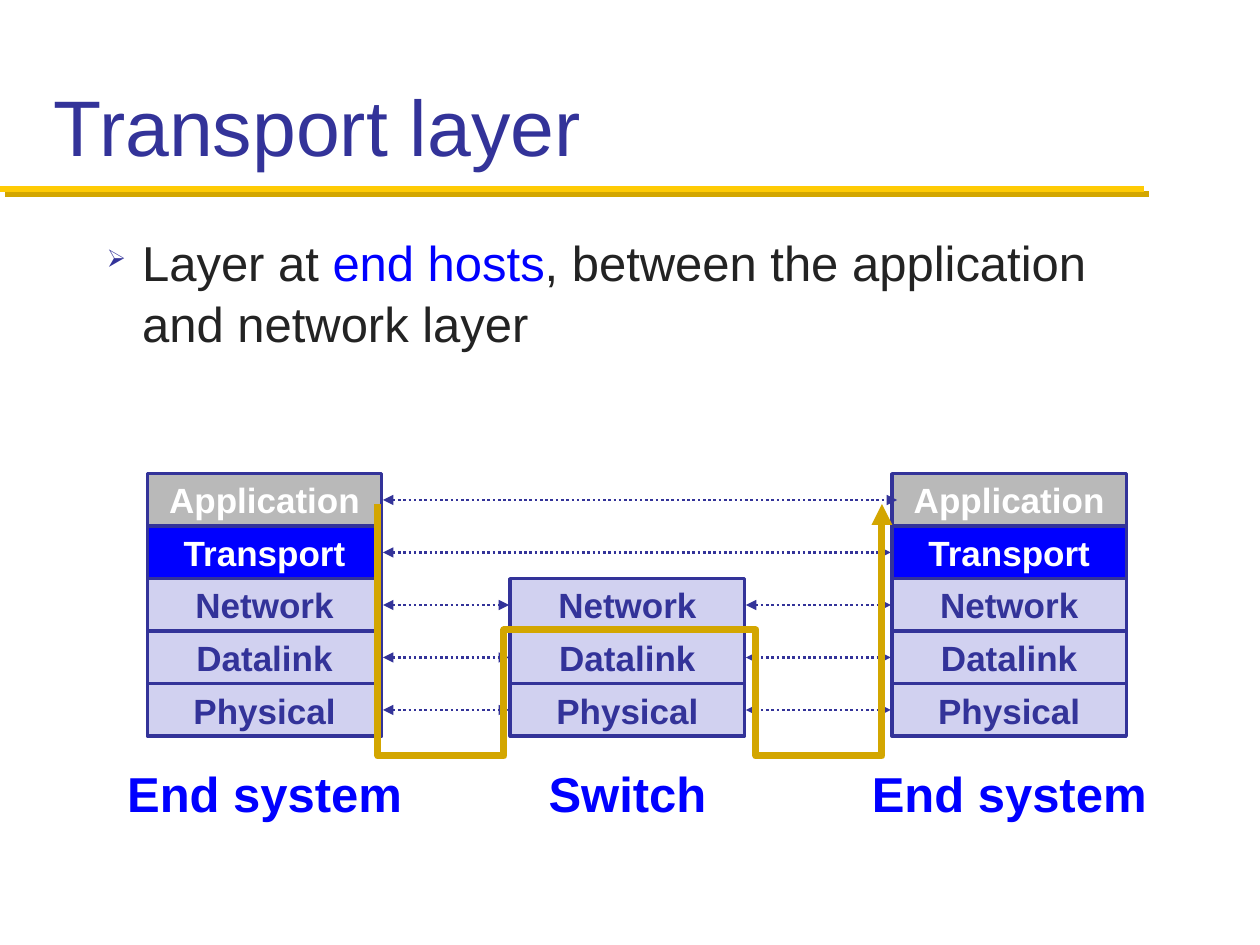
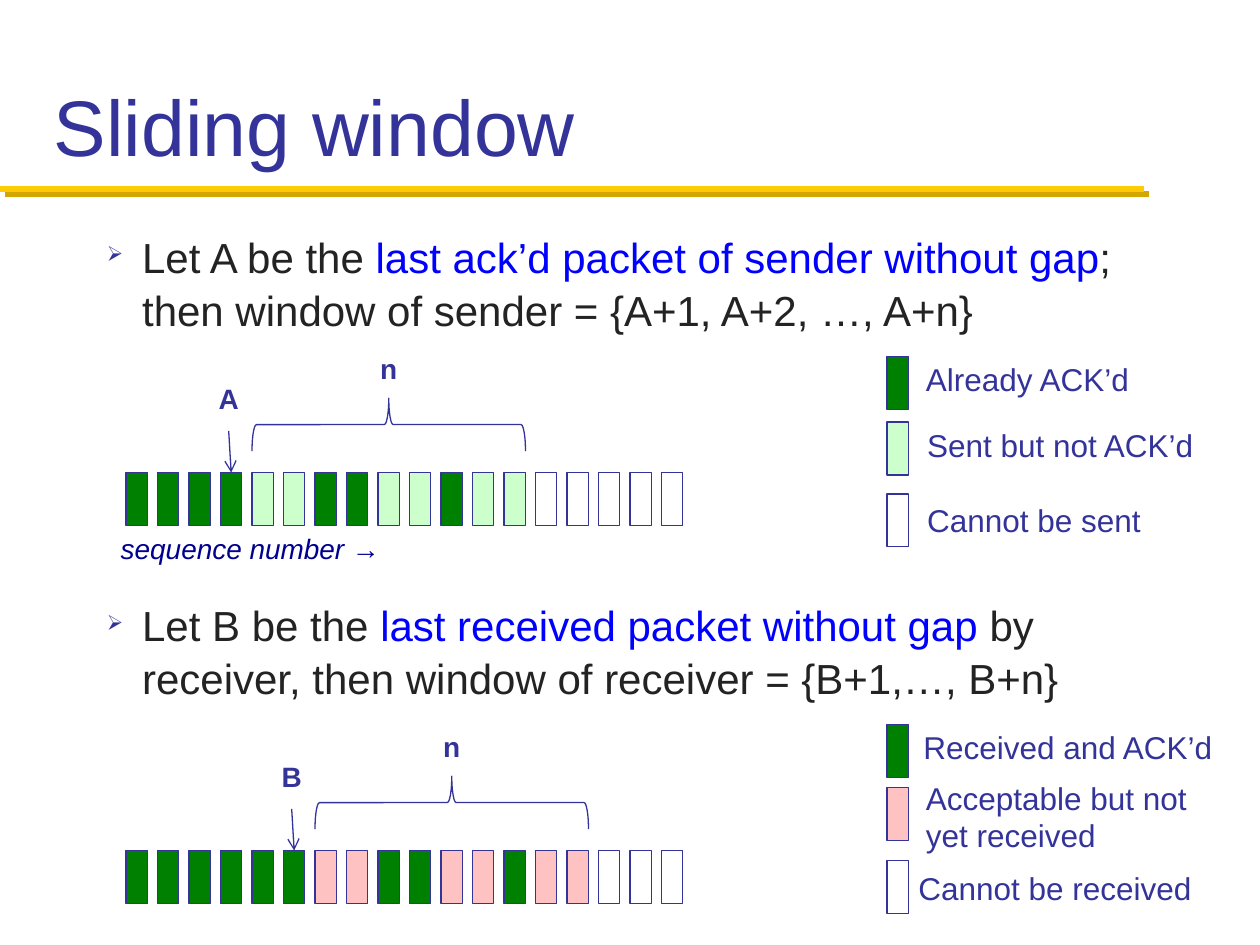
import pptx
import pptx.util
import pptx.dml.color
import pptx.enum.dml
import pptx.enum.shapes
import pptx.enum.text
import pptx.oxml
import pptx.oxml.ns

Inches, Pt = pptx.util.Inches, pptx.util.Pt
SHAPE = pptx.enum.shapes.MSO_SHAPE
ALIGN = pptx.enum.text.PP_ALIGN
ANCHOR = pptx.enum.text.MSO_ANCHOR

# Shared look
FONT = "Arial"
NAVY, BLUE, INK, WHITE = "333399", "0000FF", "232323", "FFFFFF"
GOLD, DARK_GOLD = "FFCB05", "D3A600"
LAVENDER, GREY = "D1D1F0", "B9B9B9"
GREEN, MINT, PINK = "008000", "CCFFCC", "FFC2C2"

# Protocol stacks: one row per layer
LAYERS = [("Application", GREY, WHITE), ("Transport", BLUE, WHITE),
          ("Network", LAVENDER, NAVY), ("Datalink", LAVENDER, NAVY),
          ("Physical", LAVENDER, NAVY)]
STACK_TOP, ROW, STACK_W = 3.76, 5 / 12, 1.86
SENDER, SWITCH, RECEIVER = 1.17, 4.05, 7.08

# Packet rows: one column per sequence number
PACKET_X, PACKET_STEP, PACKET_W, PACKET_H = 1, 0.25, 0.17, 0.42
WINDOW = 9


def rgb(color):
    return pptx.dml.color.RGBColor.from_string(color)


def add_xml(parent, xml):
    """Append a DrawingML element written without its namespace declaration."""
    tag, rest = xml[:xml.index(" ")], xml[xml.index(" "):]
    ns = pptx.oxml.ns.nsdecls("a")
    parent.append(pptx.oxml.parse_xml(f"{tag} {ns}{rest}"))


def set_font(font, size, color=None, bold=None, italic=None):
    font.name, font.size = FONT, Pt(size)
    font.bold, font.italic = bold, italic
    if color:
        font.color.rgb = rgb(color)


def add_text(s, x, y, w, h, text, size, color=NAVY, bold=None, italic=None,
             align=ALIGN.LEFT, anchor=ANCHOR.TOP):
    tf = s.shapes.add_textbox(Inches(x), Inches(y), Inches(w), Inches(h)).text_frame
    tf.word_wrap, tf.vertical_anchor = True, anchor
    p = tf.paragraphs[0]
    p.text, p.alignment = text, align
    set_font(p.font, size, color, bold, italic)


def add_box(s, x, y, w, h, fill, weight):
    sp = s.shapes.add_shape(SHAPE.RECTANGLE, Inches(x), Inches(y), Inches(w), Inches(h))
    sp.shadow.inherit = False
    sp.fill.solid()
    sp.fill.fore_color.rgb = rgb(fill)
    sp.line.color.rgb = rgb(NAVY)
    sp.line.width = Pt(weight)
    return sp


def add_line(s, x1, y1, x2, y2, color=NAVY, weight=0.75, effect="", head=None, tail=None,
             dotted=False):
    cn = s.shapes.add_connector(pptx.enum.shapes.MSO_CONNECTOR.STRAIGHT,
                                Inches(x1), Inches(y1), Inches(x2), Inches(y2))
    cn.line.color.rgb = rgb(color)
    cn.line.width = Pt(weight)
    if dotted:
        cn.line.dash_style = pptx.enum.dml.MSO_LINE.ROUND_DOT
    add_arrowheads(cn, head, tail)
    add_xml(cn._element.spPr, f"<a:effectLst >{effect}</a:effectLst>")


def add_arrowheads(sp, head=None, tail=None):
    ln = sp.line._get_or_add_ln()
    for end, kind in (("headEnd", head), ("tailEnd", tail)):
        if kind:
            add_xml(ln, f'<a:{end} type="{kind}"/>')


def add_bullets(s, size, items, gap=0):
    """Each item is a list of (text, colour) runs; gap separates the items."""
    tf = s.shapes.add_textbox(Inches(0.75), Inches(1.77), Inches(8.67), Inches(4.83)).text_frame
    tf.word_wrap = True
    for i, runs in enumerate(items):
        p = tf.add_paragraph() if i else tf.paragraphs[0]
        pPr = p._p.get_or_add_pPr()
        pPr.set("marL", str(Inches(0.28)))
        pPr.set("indent", str(-Inches(0.28)))
        add_xml(pPr, f'<a:buClr ><a:srgbClr val="{NAVY}"/></a:buClr>')
        add_xml(pPr, '<a:buSzPct val="50000"/>')
        add_xml(pPr, '<a:buChar char="\u27a2"/>')
        p.line_spacing = 1.05
        p.space_before = Pt(gap if i else 0)
        set_font(p.font, size)
        for text, color in runs:
            r = p.add_run()
            r.text = text
            r.font.color.rgb = rgb(color)


def add_slide(prs, title):
    """Blank slide with the title and the gold rule under it."""
    s = prs.slides.add_slide(prs.slide_layouts[6])
    shadow = (f'<a:outerShdw dist="{Pt(4.2)}" dir="2700000" algn="ctr" rotWithShape="0">'
              f'<a:srgbClr val="{DARK_GOLD}"/></a:outerShdw>')
    add_line(s, 0, 1.5, 9.08, 1.5, GOLD, 3.5, effect=shadow)
    add_text(s, 0.33, 0.17, 9.33, 1.25, title, 45, anchor=ANCHOR.BOTTOM)
    return s


def add_stack(s, x, caption, first=0):
    """Layers from number first down to the physical one, with a caption."""
    for i, (name, fill, color) in enumerate(LAYERS[first:], first):
        sp = add_box(s, x, STACK_TOP + i * ROW, STACK_W, ROW, fill, 2)
        tf = sp.text_frame
        tf.word_wrap, tf.vertical_anchor = False, ANCHOR.MIDDLE
        p = tf.paragraphs[0]
        p.text, p.alignment = name, ALIGN.CENTER
        set_font(p.font, 20, color, bold=True)
    add_text(s, x + STACK_W / 2 - 1.3, 6.01, 2.6, 0.57, caption, 28, BLUE, True,
             align=ALIGN.CENTER)


def add_peer_link(s, left, right, layer, overlap=-0.01):
    y = STACK_TOP + (layer + 0.5) * ROW
    add_line(s, left + STACK_W + 0.01, y, right + overlap, y, weight=1.5,
             head="triangle", tail="triangle", dotted=True)


def add_data_flow(s):
    points = [(2.92, 3.78), (2.92, 5.53), (3.09, 5.67), (4.47, 5.67), (4.47, 4.93),
              (5.59, 4.93), (5.59, 5.67), (6.97, 5.67), (7.15, 5.53), (7.15, 3.78)]
    fb = s.shapes.build_freeform(*points[0], scale=Inches(1))
    fb.add_line_segments(points[1:], close=False)
    sp = fb.convert_to_shape()
    sp.shadow.inherit = False
    sp.fill.background()
    sp.line.color.rgb = rgb(DARK_GOLD)
    sp.line.width = Pt(4)
    add_arrowheads(sp, tail="triangle")


def add_packets(s, y, fills, name, window_start):
    """Row of packets, a brace over the window and an arrow to the packet before it."""
    for i, fill in enumerate(fills):
        add_box(s, PACKET_X + i * PACKET_STEP, y, PACKET_W, PACKET_H, fill, 0.75)
    # Window brace: a left brace turned to point upwards
    span = (WINDOW - 1) * PACKET_STEP + PACKET_W
    mid_x = PACKET_X + window_start * PACKET_STEP + span / 2
    mid_y = y - 0.38
    sp = s.shapes.add_shape(SHAPE.LEFT_BRACE, Inches(mid_x - PACKET_H / 2),
                            Inches(mid_y - span / 2), Inches(PACKET_H), Inches(span))
    sp.rotation = 90
    sp.shadow.inherit = False
    sp.fill.background()
    sp.line.color.rgb = rgb(NAVY)
    sp.line.width = Pt(0.75)
    add_text(s, mid_x - 0.2, y - 1.01, 0.4, 0.44, "n", 16, bold=True, align=ALIGN.CENTER)
    # Last packet without a gap
    x = PACKET_X + (window_start - 1) * PACKET_STEP + PACKET_W / 2
    add_text(s, x - 0.22, y - 0.77, 0.4, 0.44, name, 16, bold=True, align=ALIGN.CENTER)
    add_line(s, x - 0.02, y - 0.33, x, y, tail="arrow")


def add_legend(s, entries):
    for fill, y, text_x, text_y, text in entries:
        add_box(s, 7.04, y, PACKET_W, PACKET_H, fill, 0.75)
        add_text(s, text_x, text_y, 2.7, 0.4, text, 18)


def transport_slide(prs):
    s = add_slide(prs, "Transport layer")
    add_bullets(s, 28, [[("Layer at ", INK), ("end hosts", BLUE),
                         (", between the application and network layer", INK)]])
    add_stack(s, SENDER, "End system")
    add_stack(s, RECEIVER, "End system")
    add_stack(s, SWITCH, "Switch", first=2)
    add_peer_link(s, SENDER, RECEIVER, 0, overlap=0.04)
    add_peer_link(s, SENDER, RECEIVER, 1)
    for layer in (2, 3, 4):
        add_peer_link(s, SENDER, SWITCH, layer)
        add_peer_link(s, SWITCH, RECEIVER, layer)
    add_data_flow(s)


def window_slide(prs):
    s = add_slide(prs, "Sliding window")
    add_bullets(s, 24, [
        [("Let A be the ", INK), ("last ack’d packet of sender without gap", BLUE),
         ("; then window of sender = {A+1, A+2, …, A+n}", INK)],
        [("Let B be the ", INK), ("last received packet without gap", BLUE),
         (" by receiver, then window of receiver = {B+1,…, B+n}", INK)],
    ], gap=150)
    # g: acknowledged, m: sent, p: acceptable, w: outside the window
    fills = {"g": GREEN, "m": MINT, "p": PINK, "w": WHITE}
    add_packets(s, 3.75, [fills[c] for c in "ggggmmggmmgmmwwwww"], "A", 4)
    add_text(s, 0.86, 4.17, 2.89, 0.37, "sequence number →", 16, "000090", italic=True)
    add_packets(s, 6.75, [fills[c] for c in "ggggggppggppgppwww"], "B", 6)
    add_legend(s, [
        (GREEN, 2.83, 7.25, 2.81, "Already ACK’d"),
        (MINT, 3.35, 7.26, 3.33, "Sent but not ACK’d"),
        (WHITE, 3.92, 7.26, 3.93, "Cannot be sent"),
        (GREEN, 5.75, 7.23, 5.73, "Received and ACK’d"),
        (PINK, 6.25, 7.25, 6.13, "Acceptable but not\vyet received"),
        (WHITE, 6.83, 7.19, 6.85, "Cannot be received"),
    ])


def main():
    prs = pptx.Presentation()
    prs.slide_width, prs.slide_height = Inches(10), Inches(7.5)
    transport_slide(prs)
    window_slide(prs)
    prs.save("out.pptx")


main()
